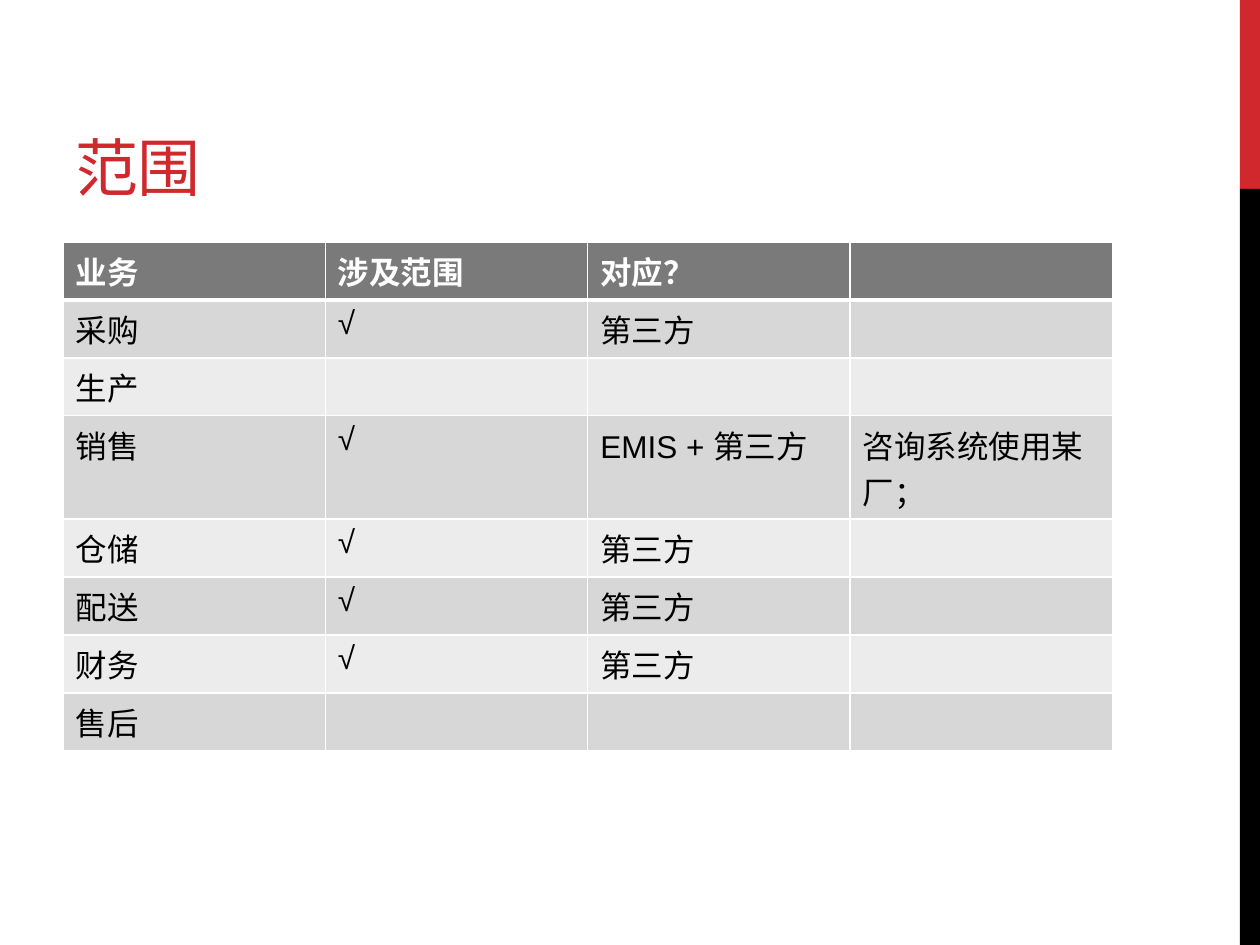
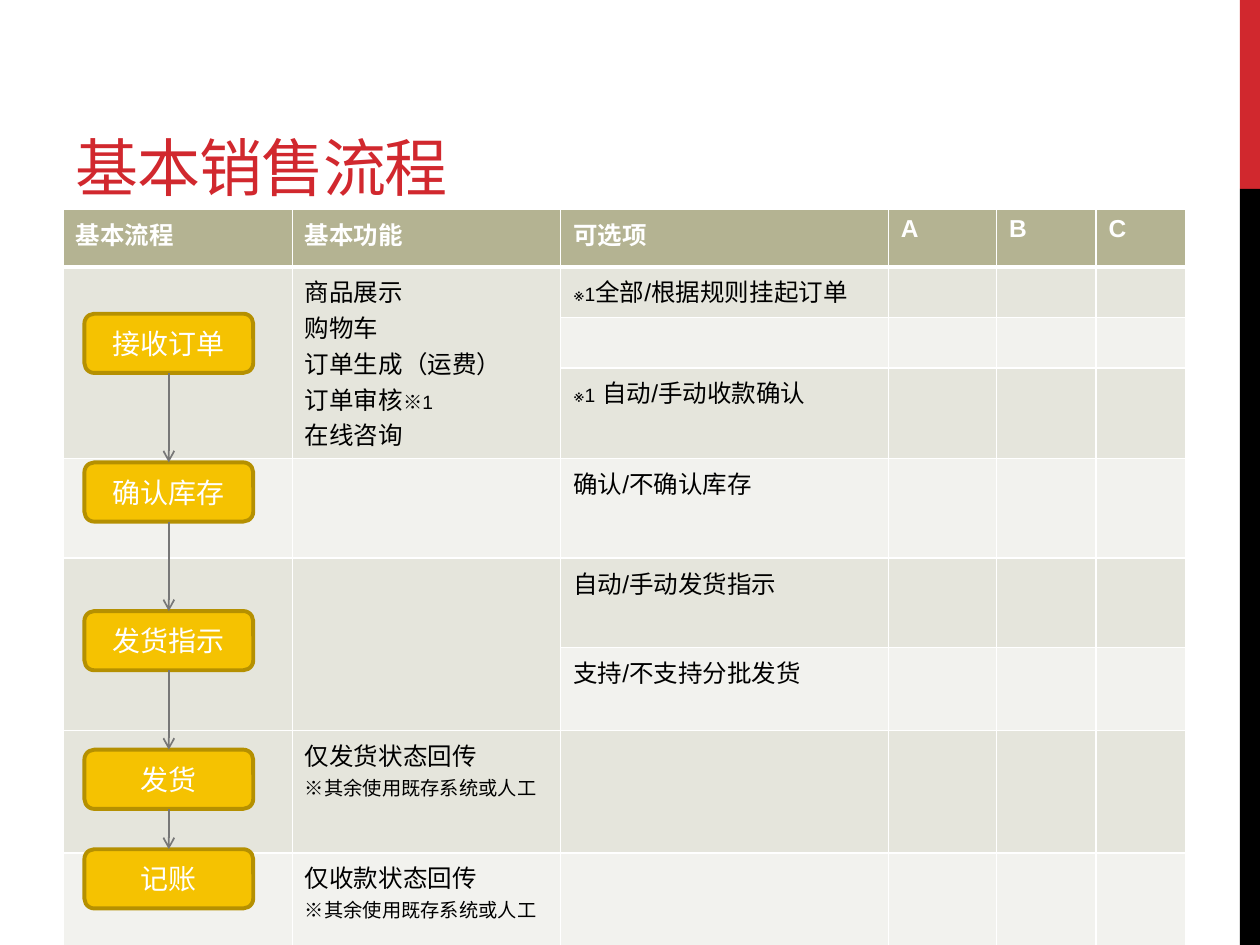
from pptx import Presentation
from pptx.dml.color import RGBColor
from pptx.enum.shapes import MSO_CONNECTOR, MSO_SHAPE
from pptx.enum.text import MSO_ANCHOR, PP_ALIGN
from pptx.oxml.ns import qn
from pptx.util import Inches, Pt
from lxml import etree

RECT = MSO_SHAPE.RECTANGLE
ROUNDED = MSO_SHAPE.ROUNDED_RECTANGLE
STRAIGHT = MSO_CONNECTOR.STRAIGHT
BOTTOM, MIDDLE = MSO_ANCHOR.BOTTOM, MSO_ANCHOR.MIDDLE
CENTER = PP_ALIGN.CENTER

RED, BLACK, WHITE = "D1282E", "000000", "FFFFFF"
GOLD, DARK_GOLD, GRAY = "F5C201", "B59001", "777777"
TITLE_FONT, BODY_FONT = "Montserrat", "Arial"
NOTE_SIZE = 11


def rgb(value):
    return RGBColor.from_string(value)


def add_run(paragraph, text, size, color, font=BODY_FONT, bold=False):
    run = paragraph.add_run()
    run.text = text
    run.font.size = Pt(size)
    run.font.name = font
    run.font.bold = bold
    run.font.color.rgb = rgb(color)
    return run


scope = {
    "title": "范围",
    "top": 1.92,
    "columns": [8.33 / 4] * 4,
    "heights": [0.46] * 3 + [0.82] + [0.46] * 4,
    "size": 18,
    "fills": ("7A7A7A", "D7D7D7", "ECECEC"),
    "merges": [],
    "rows": [
        ["业务", "涉及范围", "对应？"],
        ["采购", "√", "第三方"],
        ["生产"],
        ["销售", "√", "EMIS + 第三方", "咨询系统使用某厂；"],
        ["仓储", "√", "第三方"],
        ["配送", "√", "第三方"],
        ["财务", "√", "第三方"],
        ["售后"],
    ],
}

sales = {
    "title": "基本销售流程",
    "top": 1.66,
    "columns": [1.82, 2.13, 2.6, 0.86, 0.79, 0.71],
    "heights": [0.46, 0.4, 0.4, 0.72, 0.79, 0.71, 0.66, 0.97, 0.85],
    "size": 14,
    "fills": ("B4B392", "E5E5DC", "F2F2EE"),
    "merges": [(1, 3), (5, 6)],
    "rows": [
        ["基本流程", "基本功能", "可选项", "A", "B", "C"],
        ["", "商品展示\n购物车\n订单生成（运费）\n订单审核|※1\n在线咨询", "※1|全部/根据规则挂起订单"],
        [],
        ["", "", "※1| 自动/手动收款确认"],
        ["", "", "确认/不确认库存"],
        ["", "", "自动/手动发货指示"],
        ["", "", "支持/不支持分批发货"],
        ["", "仅发货状态回传\n※其余使用既存系统或人工"],
        ["", "仅收款状态回传\n※其余使用既存系统或人工"],
    ],
}

prs = Presentation()
prs.slide_width = Inches(10)
prs.slide_height = Inches(7.5)

for content in (scope, sales):
    slide = prs.slides.add_slide(prs.slide_layouts[6])
    for top, height, color in ((0, 1.5, RED), (1.5, 6, BLACK)):
        band = slide.shapes.add_shape(RECT, Inches(9.84), Inches(top), Inches(0.16), Inches(height))
        band.shadow.inherit = False
        band.fill.solid()
        band.fill.fore_color.rgb = rgb(color)
        band.line.fill.background()

    heading = slide.shapes.add_textbox(Inches(0.5), Inches(0.17), Inches(6.33), Inches(1.5)).text_frame
    heading.word_wrap = True
    heading.vertical_anchor = BOTTOM
    title_run = add_run(heading.paragraphs[0], content["title"], 36, RED, TITLE_FONT)
    title_run.font._element.set("spc", "-60")

    columns, heights = content["columns"], content["heights"]
    table = slide.shapes.add_table(
        len(heights), len(columns), Inches(0.5), Inches(content["top"]),
        Inches(sum(columns)), Inches(sum(heights))).table
    for column, width in zip(table.columns, columns):
        column.width = Inches(width)
    for row, height in zip(table.rows, heights):
        row.height = Inches(height)

    header_fill, odd_fill, even_fill = content["fills"]
    for r, texts in enumerate(content["rows"]):
        is_header = r == 0
        fill = header_fill if is_header else odd_fill if r % 2 else even_fill
        borders = {"lnL": 1, "lnR": 1, "lnT": 3 if r == 1 else 1, "lnB": 3 if is_header else 1}
        for c in range(len(columns)):
            cell = table.cell(r, c)
            properties = cell._tc.get_or_add_tcPr()
            for side, width in borders.items():
                border = etree.SubElement(properties, qn("a:" + side), w=str(Pt(width)))
                solid = etree.SubElement(border, qn("a:solidFill"))
                etree.SubElement(solid, qn("a:srgbClr"), val=WHITE)
            cell.fill.solid()
            cell.fill.fore_color.rgb = rgb(fill)
            if c >= len(texts) or not texts[c]:
                continue
            for i, line in enumerate(texts[c].split("\n")):
                frame = cell.text_frame
                paragraph = frame.add_paragraph() if i else frame.paragraphs[0]
                for part in line.split("|"):
                    size = NOTE_SIZE if part.startswith("※") else content["size"]
                    add_run(paragraph, part, size, WHITE if is_header else BLACK, bold=is_header)
    for first, last in content["merges"]:
        for c in range(2):
            table.cell(first, c).merge(table.cell(last, c))

steps = [("接收订单", 2.49), ("确认库存", 3.67), ("发货指示", 4.85), ("发货", 5.95), ("记账", 6.74)]
step_height = 0.47
for label, top in steps:
    step = slide.shapes.add_shape(ROUNDED, Inches(0.67), Inches(top), Inches(1.34), Inches(step_height))
    step.shadow.inherit = False
    step.fill.solid()
    step.fill.fore_color.rgb = rgb(GOLD)
    step.line.color.rgb = rgb(DARK_GOLD)
    step.line.width = Pt(2.25)
    step.text_frame.vertical_anchor = MIDDLE
    paragraph = step.text_frame.paragraphs[0]
    paragraph.alignment = CENTER
    add_run(paragraph, label, 16, WHITE)

for (_, top), (_, next_top) in zip(steps, steps[1:]):
    arrow = slide.shapes.add_connector(
        STRAIGHT, Inches(1.34), Inches(top + step_height), Inches(1.34), Inches(next_top))
    arrow.line.color.rgb = rgb(GRAY)
    arrow.line.width = Pt(1)
    etree.SubElement(arrow.line._get_or_add_ln(), qn("a:tailEnd"), type="arrow")
    etree.SubElement(arrow._element.spPr, qn("a:effectLst"))

prs.save("out.pptx")
